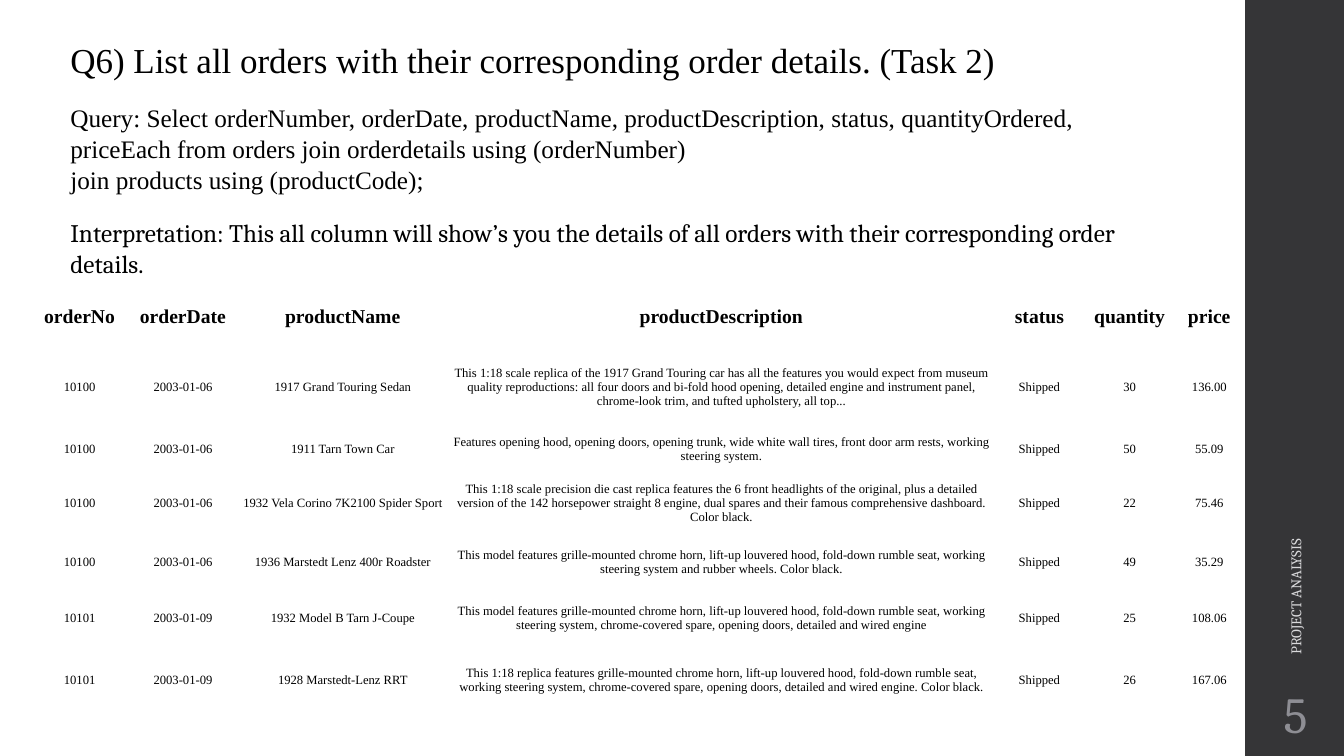
from pptx import Presentation
from pptx.dml.color import RGBColor
from pptx.enum.shapes import MSO_SHAPE
from pptx.enum.text import MSO_ANCHOR, PP_ALIGN
from pptx.util import Inches, Pt

# Content
TITLE = "Q6) List all orders with their corresponding order details. (Task 2)"
QUERY = [
    "Query: Select orderNumber, orderDate, productName, productDescription, status, quantityOrdered,",
    "priceEach from orders join orderdetails using (orderNumber)",
    "join products using (productCode);",
]
INTERPRETATION = ("Interpretation: This all column will show’s you the details of all orders "
                  "with their corresponding order details.")
FOOTER = "PROJECT ANALYSIS"
PAGE_NUMBER = "5"

HEADER = ("orderNo", "orderDate", "productName", "productDescription", "status", "quantity", "price")
ORDERS = [
    ("10100", "2003-01-06", "1917 Grand Touring Sedan",
     "This 1:18 scale replica of the 1917 Grand Touring car has all the features you would expect "
     "from museum quality reproductions: all four doors and bi-fold hood opening, detailed engine "
     "and instrument panel, chrome-look trim, and tufted upholstery, all top...",
     "Shipped", "30", "136.00"),
    ("10100", "2003-01-06", "1911 Tarn Town Car",
     "Features opening hood, opening doors, opening trunk, wide white wall tires, front door arm "
     "rests, working steering system.",
     "Shipped", "50", "55.09"),
    ("10100", "2003-01-06", "1932 Vela Corino 7K2100 Spider Sport",
     "This 1:18 scale precision die cast replica features the 6 front headlights of the original, "
     "plus a detailed version of the 142 horsepower straight 8 engine, dual spares and their famous "
     "comprehensive dashboard. Color black.",
     "Shipped", "22", "75.46"),
    ("10100", "2003-01-06", "1936 Marstedt Lenz 400r Roadster",
     "This model features grille-mounted chrome horn, lift-up louvered hood, fold-down rumble seat, "
     "working steering system and rubber wheels. Color black.",
     "Shipped", "49", "35.29"),
    ("10101", "2003-01-09", "1932 Model B Tarn J-Coupe",
     "This model features grille-mounted chrome horn, lift-up louvered hood, fold-down rumble seat, "
     "working steering system, chrome-covered spare, opening doors, detailed and wired engine",
     "Shipped", "25", "108.06"),
    ("10101", "2003-01-09", "1928 Marstedt-Lenz RRT",
     "This 1:18 replica features grille-mounted chrome horn, lift-up louvered hood, fold-down rumble "
     "seat, working steering system, chrome-covered spare, opening doors, detailed and wired engine. "
     "Color black.",
     "Shipped", "26", "167.06"),
]
COLUMN_WIDTHS = (1.02, 1.03, 2.14, 5.37, 0.94, 0.85, 0.73)
ROW_HEIGHTS = (0.59, 0.81, 0.41, 0.67, 0.5, 0.6, 0.64)

COLORS = {"sidebar": "353537", "footer": "D9D9DB", "number": "8E8E94", "text": "000000"}
SERIF, HEADING = "Times New Roman", "Cambria"


def style(para, font, size, color="text", bold=False):
    for span in para.runs:
        span.font.name = font
        span.font.size = Pt(size)
        span.font.bold = bold
        span.font.color.rgb = RGBColor.from_string(COLORS[color])


def add_text(page, place, lines, font, size, color="text", anchor=MSO_ANCHOR.TOP):
    box = page.shapes.add_textbox(*map(Inches, place))
    frame = box.text_frame
    frame.word_wrap = True
    frame.vertical_anchor = anchor
    frame.text = "\n".join(lines)
    for para in frame.paragraphs:
        style(para, font, size, color)
    return box


def add_orders_table(page):
    rows = [HEADER] + ORDERS
    table = page.shapes.add_table(
        len(rows), len(HEADER), Inches(0.28), Inches(2.85),
        Inches(sum(COLUMN_WIDTHS)), Inches(sum(ROW_HEIGHTS))).table
    table.first_row = table.horz_banding = False
    for column, width in zip(table.columns, COLUMN_WIDTHS):
        column.width = Inches(width)
    for row, height, values in zip(table.rows, ROW_HEIGHTS, rows):
        row.height = Inches(height)
        is_header = values is HEADER
        for cell, value in zip(row.cells, values):
            cell.fill.background()
            cell.margin_left = cell.margin_right = Inches(0.01)
            cell.margin_top = cell.margin_bottom = 0
            cell.vertical_anchor = MSO_ANCHOR.MIDDLE
            cell.text_frame.text = value
            para = cell.text_frame.paragraphs[0]
            para.alignment = PP_ALIGN.CENTER
            style(para, SERIF, 14 if is_header else 9, bold=is_header)
    # Plain grid: the "No Style, No Grid" table style
    table._tbl.tblPr.find("{*}tableStyleId").text = "{2D5ABB26-0587-4C30-8999-92F81FD0307C}"


def main():
    deck = Presentation()
    deck.slide_width, deck.slide_height = Inches(13.33), Inches(7.5)
    page = deck.slides.add_slide(deck.slide_layouts[6])

    # Sidebar with footer and page number
    sidebar = page.shapes.add_shape(
        MSO_SHAPE.RECTANGLE, Inches(12.35), 0, Inches(1), Inches(7.5))
    sidebar.shadow.inherit = False
    sidebar.fill.solid()
    sidebar.fill.fore_color.rgb = RGBColor.from_string(COLORS["sidebar"])
    sidebar.line.fill.background()
    footer = add_text(page, (10.89, 4.43, 3.92, 0.4), [FOOTER], HEADING, 10.5,
                      "footer", MSO_ANCHOR.MIDDLE)
    footer.rotation = 270
    number = add_text(page, (12.35, 6.75, 1, 0.65), [PAGE_NUMBER], HEADING, 36,
                      "number", MSO_ANCHOR.MIDDLE)
    number.text_frame.margin_left = number.text_frame.margin_right = Inches(0.05)
    number.text_frame.paragraphs[0].alignment = PP_ALIGN.CENTER

    # Question, query and interpretation
    question = add_text(page, (0.6, 0.32, 11.57, 1.62), [TITLE] + QUERY, SERIF, 18)
    paragraphs = question.text_frame.paragraphs
    style(paragraphs[0], SERIF, 25)
    paragraphs[1].space_before = Pt(15)
    for para in paragraphs:
        para.line_spacing = 1.03
    add_text(page, (0.6, 2.11, 11.26, 0.71), [INTERPRETATION], HEADING, 18)

    # Query result
    add_orders_table(page)
    deck.save("out.pptx")


if __name__ == "__main__":
    main()
